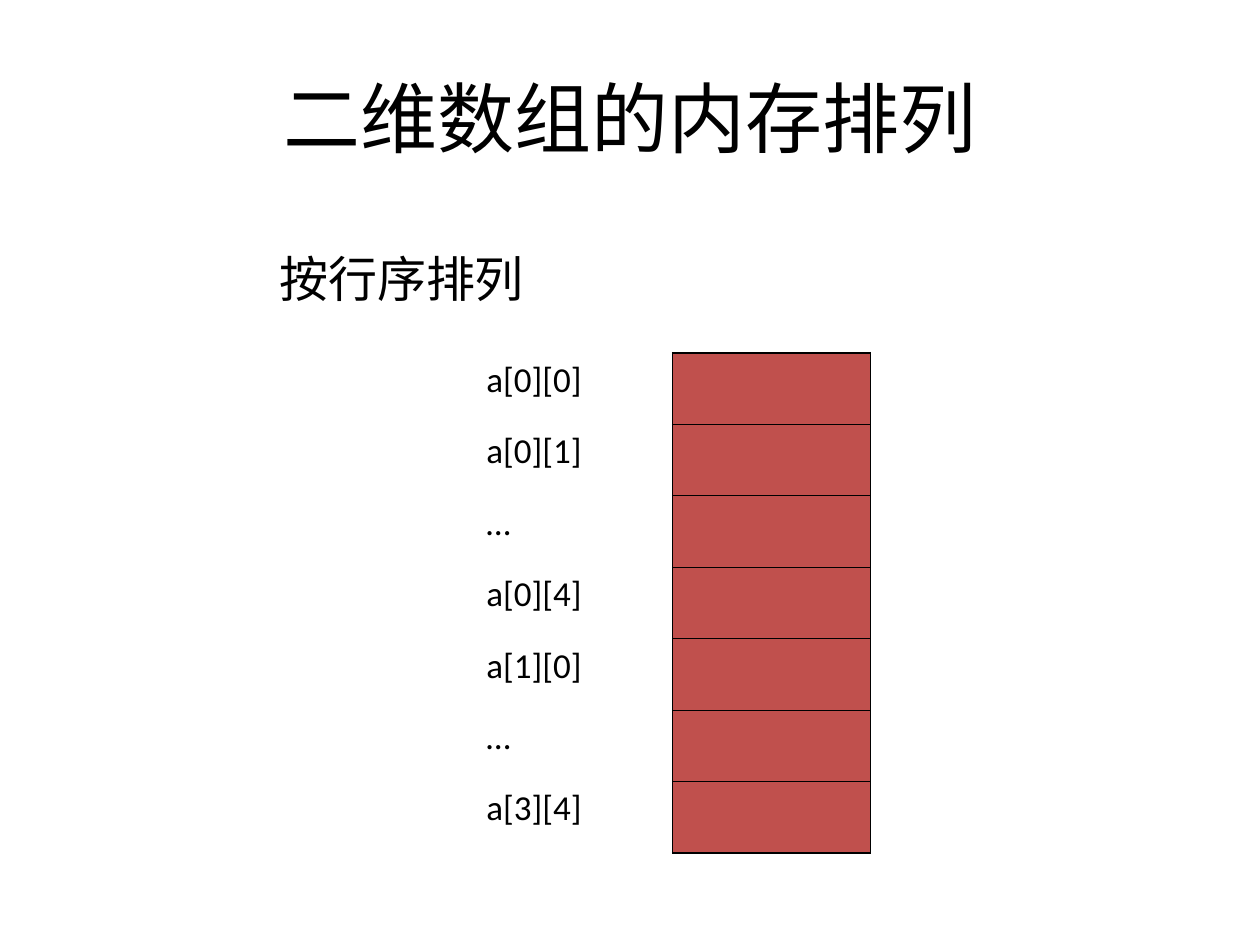
from dataclasses import dataclass

from lxml.etree import SubElement
from pptx import Presentation
from pptx.dml.color import RGBColor
from pptx.enum.text import MSO_ANCHOR as Anchor, PP_ALIGN as Align
from pptx.oxml.ns import qn
from pptx.util import Cm, Pt

BLACK = "000000"
RED = "C0504D"
THIN, THICK = 0.45, 1.08
ROW_H, COL_W = 1.44, 4


@dataclass
class MemoryCell:
    label: str
    top: float = THIN
    bottom: float = THIN


CELLS = [
    MemoryCell("a[0][0]", top=THICK),
    MemoryCell("a[0][1]"),
    MemoryCell("…"),
    MemoryCell("a[0][4]"),
    MemoryCell("a[1][0]"),
    MemoryCell("…"),
    MemoryCell("a[3][4]", bottom=THICK),
]


def rgb(color: str) -> RGBColor:
    return RGBColor.from_string(color)


def write(tf, text: str, *, size: float, font: str = "Calibri", color: str = BLACK,
          align=Align.LEFT, before: float = 0) -> None:
    p = tf.paragraphs[0]
    p.alignment = align
    p.space_before = Pt(before)
    r = p.add_run()
    r.text = text
    r.font.size = Pt(size)
    r.font.name = font
    r.font.color.rgb = rgb(color)


def set_borders(cell, left: float = 0, right: float = 0, top: float = 0, bottom: float = 0) -> None:
    tc_pr = cell._tc.get_or_add_tcPr()
    for side, width in zip("LRTB", (left, right, top, bottom)):
        ln = SubElement(tc_pr, qn(f"a:ln{side}"), w=str(int(Pt(width))))
        if width:
            fill = SubElement(ln, qn("a:solidFill"))
            SubElement(fill, qn("a:srgbClr"), val=BLACK)
        else:
            SubElement(ln, qn("a:noFill"))


def add_memory_table(s, left: float, top: float, cells: list[MemoryCell]) -> None:
    frame = s.shapes.add_table(len(cells), 2, Cm(left), Cm(top),
                               Cm(2 * COL_W), Cm(len(cells) * ROW_H))
    table = frame.table
    table.first_row = False
    table.horz_banding = False
    for col in table.columns:
        col.width = Cm(COL_W)
    for i, item in enumerate(cells):
        table.rows[i].height = Cm(ROW_H)
        label, box = table.cell(i, 0), table.cell(i, 1)
        write(label.text_frame, item.label, size=20, before=5)
        set_borders(label, right=THIN)
        label.fill.background()
        set_borders(box, left=THIN, right=THICK, top=item.top, bottom=item.bottom)
        box.fill.solid()
        box.fill.fore_color.rgb = rgb(RED)


def main() -> None:
    prs = Presentation()
    prs.slide_width, prs.slide_height = Cm(25.4), Cm(19.05)
    s = prs.slides.add_slide(prs.slide_layouts[5])

    title = s.shapes.title
    title.left, title.top, title.width, title.height = Cm(1.27), Cm(0.76), Cm(22.86), Cm(3.18)
    title.text_frame.vertical_anchor = Anchor.MIDDLE
    write(title.text_frame, "二维数组的内存排列", size=44, align=Align.CENTER)

    add_memory_table(s, 9.55, 7.11, CELLS)

    sp = s.shapes.add_textbox(Cm(5.38), Cm(4.88), Cm(15.77), Cm(1.45))
    sp.text_frame.word_wrap = True
    write(sp.text_frame, "按行序排列", size=28, font="Arial", before=17.5)

    prs.save("out.pptx")


if __name__ == "__main__":
    main()
